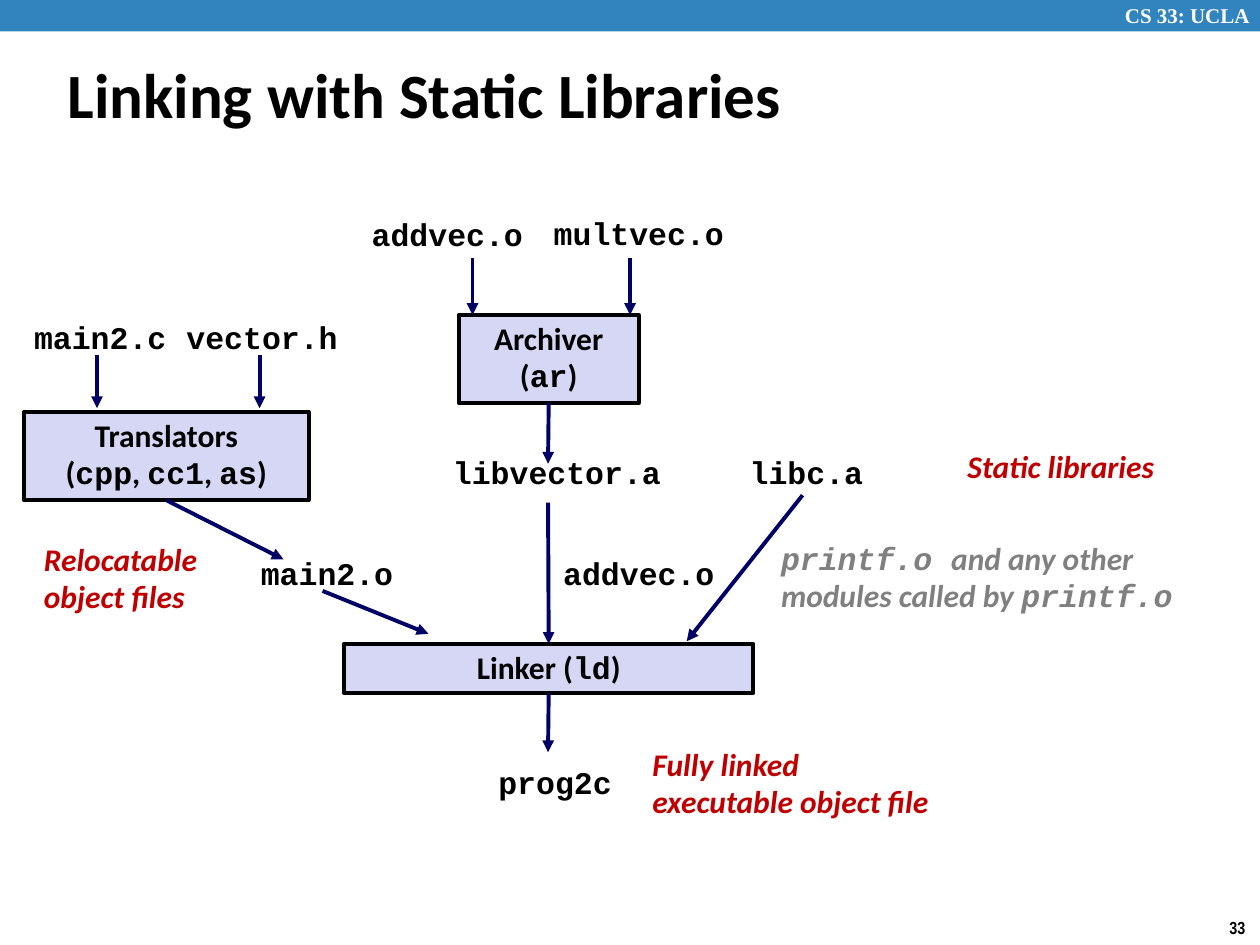
from lxml import etree
from pptx import Presentation
from pptx.dml.color import RGBColor
from pptx.enum.shapes import MSO_CONNECTOR, MSO_SHAPE
from pptx.enum.text import MSO_ANCHOR, PP_ALIGN
from pptx.oxml.ns import qn
from pptx.util import Inches, Pt

RECTANGLE = MSO_SHAPE.RECTANGLE
STRAIGHT = MSO_CONNECTOR.STRAIGHT
TOP, MIDDLE = MSO_ANCHOR.TOP, MSO_ANCHOR.MIDDLE
LEFT, CENTER = PP_ALIGN.LEFT, PP_ALIGN.CENTER
TOP_SIDE, BOTTOM_SIDE = 0, 2

BLACK = RGBColor(0x00, 0x00, 0x00)
WHITE = RGBColor(0xFF, 0xFF, 0xFF)
BAND_BLUE = RGBColor(0x32, 0x84, 0xBF)
TOOL_FILL = RGBColor(0xD6, 0xD6, 0xF5)
NAVY = RGBColor(0x00, 0x00, 0x66)
RED = RGBColor(0xC0, 0x00, 0x00)
GRAY = RGBColor(0x80, 0x80, 0x80)

BODY, CODE = "Calibri", "Courier New"


def write_text(frame, text, size=18, font=BODY, color=BLACK, italic=False,
               align=LEFT, anchor=TOP, wrap=False, spacing=0.98):
    """Write one paragraph per line; parts between backticks use the code font."""
    frame.word_wrap = wrap
    frame.vertical_anchor = anchor
    for index, line in enumerate(text.split("\n")):
        paragraph = frame.add_paragraph() if index else frame.paragraphs[0]
        paragraph.alignment = align
        paragraph.line_spacing = spacing
        for part, words in enumerate(line.split("`")):
            if words:
                run = paragraph.add_run()
                run.text = words
                run.font.name = CODE if part % 2 else font
                run.font.size = Pt(size)
                run.font.bold = True
                run.font.italic = italic
                run.font.color.rgb = color


def add_label(slide, x, y, width, height, text, **text_format):
    label = slide.shapes.add_textbox(Inches(x), Inches(y), Inches(width), Inches(height))
    write_text(label.text_frame, text, **text_format)


def add_file(slide, x, y, width, name):
    add_label(slide, x, y, width, 0.39, f"`{name}`", align=CENTER, spacing=0.94)


def add_box(slide, x, y, width, height, fill):
    box = slide.shapes.add_shape(RECTANGLE, Inches(x), Inches(y), Inches(width), Inches(height))
    box.shadow.inherit = False
    box.fill.solid()
    box.fill.fore_color.rgb = fill
    box.line.fill.background()
    return box


def add_tool(slide, x, y, width, height, text):
    tool = add_box(slide, x, y, width, height, TOOL_FILL)
    tool.line.color.rgb = BLACK
    tool.line.width = Pt(2.25)
    write_text(tool.text_frame, text, align=CENTER, wrap=True)
    return tool


def add_arrow(slide, x1, y1, x2, y2, source=None, target=None):
    arrow = slide.shapes.add_connector(STRAIGHT, Inches(x1), Inches(y1), Inches(x2), Inches(y2))
    if source:
        arrow.begin_connect(source, BOTTOM_SIDE)
    if target:
        arrow.end_connect(target, TOP_SIDE)
    arrow.line.color.rgb = NAVY
    arrow.line.width = Pt(2.25)
    etree.SubElement(arrow.line._get_or_add_ln(), qn("a:tailEnd"), type="triangle")
    etree.SubElement(arrow._element.spPr, qn("a:effectLst"))


def build_frame(slide, x, y, width, height):
    # Course band, title and page number
    add_box(slide, x, y, width, 0.25, BAND_BLUE)
    add_label(slide, x + width - 1.17, y - 0.03, 1.24, 0.3, "CS 33: UCLA",
              size=12, font="Times New Roman", color=WHITE, spacing=1)
    add_label(slide, x + 0.44, y + 0.31, 6.14, 0.86, "Linking with Static Libraries",
              size=36, anchor=MIDDLE, wrap=True, spacing=1)
    add_label(slide, x + width - 0.34, y + height - 0.27, 0.34, 0.27, "33",
              size=10, font="Arial Narrow", spacing=1)


def build_translation(slide, x, y):
    # Sources, translators and the relocatable object file
    add_file(slide, x, y, 1.25, "main2.c")
    add_file(slide, x + 1.21, y, 1.4, "vector.h")
    translators = add_tool(slide, x + 0.02, y + 0.77, 2.26, 0.7,
                           "Translators\n(`cpp`, `cc1`, `as`)")
    for source_x in (0.6, 1.89):
        add_arrow(slide, x + source_x, y + 0.32, x + source_x, y + 0.74)
    add_file(slide, x + 1.8, y + 1.87, 1.25, "main2.o")
    add_arrow(slide, x + 1.15, y + 1.47, x + 2.08, y + 1.94, source=translators)
    add_label(slide, x + 0.08, y + 1.75, 1.43, 0.7, "Relocatable\nobject files",
              color=RED, italic=True)


def build_archive(slide, x, y):
    # Object files, archiver and the static libraries
    add_file(slide, x, y + 0.01, 1.4, "addvec.o")
    add_file(slide, x + 1.44, y, 1.56, "multvec.o")
    archiver = add_tool(slide, x + 0.79, y + 0.83, 1.43, 0.7, "Archiver\n(`ar`)")
    for member_x in (0.9, 2.15):
        add_arrow(slide, x + member_x, y + 0.38, x + member_x, y + 0.83)
    add_file(slide, x + 0.64, y + 1.9, 1.86, "libvector.a")
    add_arrow(slide, x + 1.5, y + 1.53, x + 1.5, y + 2.01, source=archiver)
    add_file(slide, x + 3, y + 1.9, 1.1, "libc.a")
    add_label(slide, x + 4.73, y + 1.84, 1.7, 0.4, "Static libraries",
              color=RED, italic=True)


def build_linking(slide, x, y):
    # Linker, its inputs and the executable
    linker = add_tool(slide, x, y + 1.12, 3.25, 0.39, "Linker (`ld`)")
    add_arrow(slide, x - 0.17, y + 0.7, x + 0.67, y + 1.04)
    add_arrow(slide, x + 1.62, y, x + 1.62, y + 1.12, target=linker)
    add_arrow(slide, x + 3.64, y - 0.06, x + 2.72, y + 1.1)
    add_file(slide, x + 1.64, y + 0.38, 1.4, "addvec.o")
    add_label(slide, x + 3.37, y + 0.26, 3.48, 0.69,
              "`printf.o `and any other\nmodules called by `printf.o`",
              color=GRAY, italic=True, spacing=0.96)
    add_arrow(slide, x + 1.62, y + 1.51, x + 1.62, y + 1.98, source=linker)
    add_file(slide, x + 1.12, y + 2.04, 1.11, "prog2c")
    add_label(slide, x + 2.35, y + 1.89, 2.42, 0.7,
              "Fully linked\nexecutable object file", color=RED, italic=True)


def main():
    presentation = Presentation()
    presentation.slide_width = Inches(10)
    presentation.slide_height = Inches(7.5)
    slide = presentation.slides.add_slide(presentation.slide_layouts[6])
    build_frame(slide, 0, 0, 10, 7.5)
    build_translation(slide, 0.17, 2.5)
    build_archive(slide, 2.85, 1.67)
    build_linking(slide, 2.73, 3.99)
    presentation.save("out.pptx")


if __name__ == "__main__":
    main()
